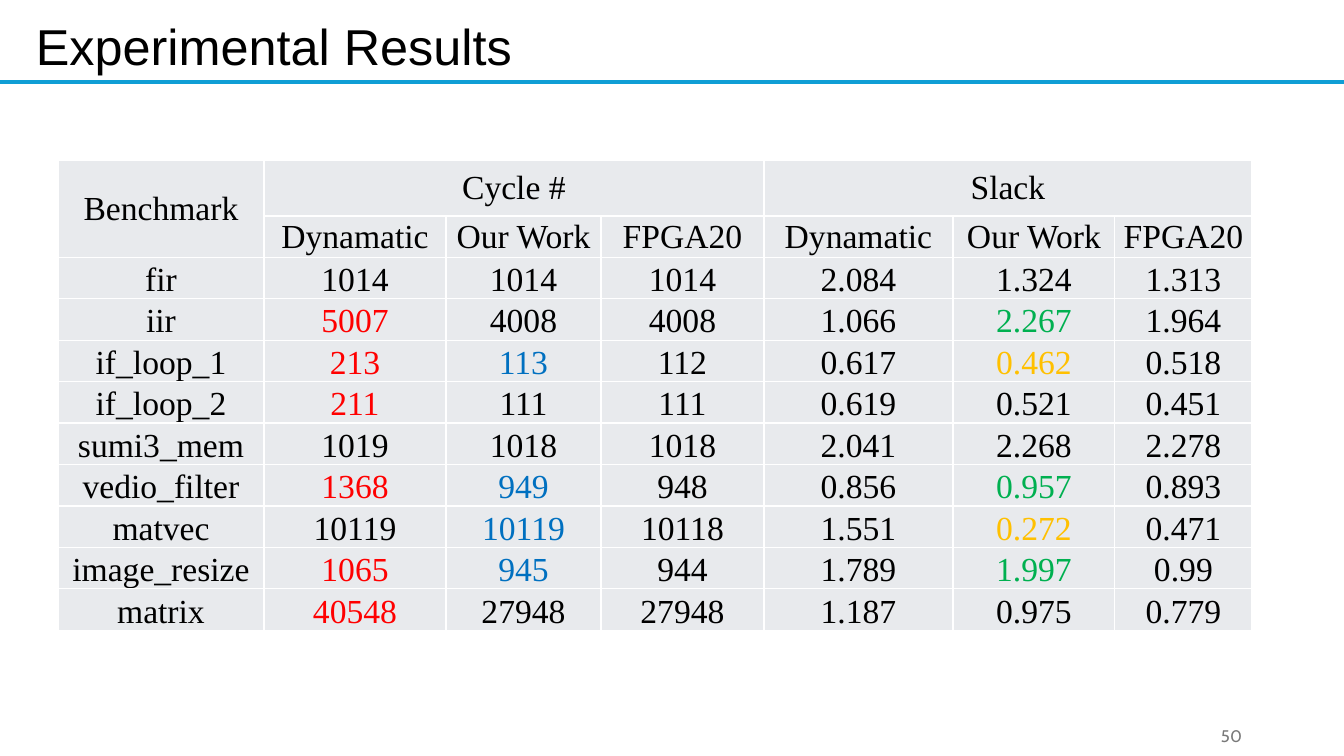
"""Build the Experimental Results slide with its benchmark table."""
from lxml import etree
from pptx import Presentation
from pptx.dml.color import RGBColor
from pptx.enum.shapes import MSO_CONNECTOR
from pptx.enum.text import MSO_ANCHOR, PP_ALIGN
from pptx.oxml import parse_xml
from pptx.oxml.ns import nsdecls, qn
from pptx.util import Pt

LEFT, CENTER, RIGHT = PP_ALIGN.LEFT, PP_ALIGN.CENTER, PP_ALIGN.RIGHT
TOP, MIDDLE, BOTTOM = MSO_ANCHOR.TOP, MSO_ANCHOR.MIDDLE, MSO_ANCHOR.BOTTOM
STRAIGHT = MSO_CONNECTOR.STRAIGHT

TITLE = "Experimental Results"
PAGE_NUMBER = "50"
METHODS = ["Dynamatic", "Our Work", "FPGA20"]
ROWS = [
    ["Benchmark", "Cycle #", "", "", "Slack", "", ""],
    ["", *METHODS, *METHODS],
    ["fir", "1014", "1014", "1014", "2.084", "1.324", "1.313"],
    ["iir", "5007", "4008", "4008", "1.066", "2.267", "1.964"],
    ["if_loop_1", "213", "113", "112", "0.617", "0.462", "0.518"],
    ["if_loop_2", "211", "111", "111", "0.619", "0.521", "0.451"],
    ["sumi3_mem", "1019", "1018", "1018", "2.041", "2.268", "2.278"],
    ["vedio_filter", "1368", "949", "948", "0.856", "0.957", "0.893"],
    ["matvec", "10119", "10119", "10118", "1.551", "0.272", "0.471"],
    ["image_resize", "1065", "945", "944", "1.789", "1.997", "0.99"],
    ["matrix", "40548", "27948", "27948", "1.187", "0.975", "0.779"],
]
MERGES = [((0, 0), (1, 0)), ((0, 1), (0, 3)), ((0, 4), (0, 6))]
RED, BLUE, GREEN, AMBER, BLACK = "FF0000", "0070C0", "00B050", "FFC000", "000000"
HIGHLIGHTS = {
    "iir": {1: RED, 5: GREEN},
    "if_loop_1": {1: RED, 2: BLUE, 5: AMBER},
    "if_loop_2": {1: RED},
    "vedio_filter": {1: RED, 2: BLUE, 5: GREEN},
    "matvec": {2: BLUE, 5: AMBER},
    "image_resize": {1: RED, 2: BLUE, 5: GREEN},
    "matrix": {1: RED},
}
COLUMN_WIDTHS = [206, 182, 155, 163, 189, 162, 137]
HEADER_HEIGHTS = [56, 41]
BODY_HEIGHT = 373
TABLE_LEFT, TABLE_TOP = 58, 160


def px(length):
    """Convert slide pixels to EMU."""
    return round(length * 914400 / 100.8)


def rgb(value):
    """Turn a hex string into a colour."""
    return RGBColor.from_string(value)


def write(frame, text, size=24, font="Times New Roman", color=BLACK, align=CENTER):
    """Write one formatted line into a text frame."""
    frame.word_wrap = True
    paragraph = frame.paragraphs[0]
    paragraph.alignment = align
    run = paragraph.add_run()
    run.text = text
    run.font.size = Pt(size)
    run.font.name = font
    run.font.color.rgb = rgb(color)


def add_label(slide, box, text, anchor, **text_format):
    """Add a text box holding one line."""
    frame = slide.shapes.add_textbox(*map(px, box)).text_frame
    frame.vertical_anchor = anchor
    write(frame, text, **text_format)


def add_borders(cell, color="FFFFFF", width=Pt(1)):
    """Draw all four borders of a table cell."""
    properties = cell._tc.get_or_add_tcPr()
    for position, side in enumerate(("lnL", "lnR", "lnT", "lnB")):
        properties.insert(position, parse_xml(
            f'<a:{side} {nsdecls("a")} w="{width}"><a:solidFill>'
            f'<a:srgbClr val="{color}"/></a:solidFill></a:{side}>'))


def add_results(slide):
    """Add the table of cycles and slack."""
    body_count = len(ROWS) - len(HEADER_HEIGHTS)
    heights = HEADER_HEIGHTS + [BODY_HEIGHT / body_count] * body_count
    box = (TABLE_LEFT, TABLE_TOP, sum(COLUMN_WIDTHS), sum(heights))
    table = slide.shapes.add_table(len(ROWS), len(COLUMN_WIDTHS), *map(px, box)).table
    table.first_row = table.horz_banding = False
    for column, width in zip(table.columns, COLUMN_WIDTHS):
        column.width = px(width)
    for row, height in zip(table.rows, heights):
        row.height = px(height)
    for start, end in MERGES:
        table.cell(*start).merge(table.cell(*end))
    for row_index, values in enumerate(ROWS):
        colors = HIGHLIGHTS.get(values[0], {})
        for column_index, text in enumerate(values):
            cell = table.cell(row_index, column_index)
            cell.margin_left = cell.margin_right = cell.margin_top = px(1)
            cell.margin_bottom = 0
            cell.vertical_anchor = MIDDLE if row_index < len(HEADER_HEIGHTS) else BOTTOM
            cell.fill.solid()
            cell.fill.fore_color.rgb = rgb("E8EAED")
            add_borders(cell)
            if text:
                write(cell.text_frame, text, color=colors.get(column_index, BLACK))


def main():
    """Build and save the slide."""
    presentation = Presentation()
    presentation.slide_width, presentation.slide_height = px(1344), px(756)
    slide = presentation.slides.add_slide(presentation.slide_layouts[6])
    add_label(slide, (26, 10, 995, 72), TITLE, TOP, size=36, font="Arial", align=LEFT)
    rule = slide.shapes.add_connector(STRAIGHT, 0, px(82), px(1344), px(82))
    rule.line.color.rgb = rgb("0F9ED5")
    rule.line.width = Pt(3)
    etree.SubElement(rule._element.spPr, qn("a:effectLst"))
    add_label(slide, (950, 716, 302, 40), PAGE_NUMBER, MIDDLE,
              size=12, font="Cabin", color="797979", align=RIGHT)
    add_results(slide)
    presentation.save("out.pptx")


if __name__ == "__main__":
    main()
